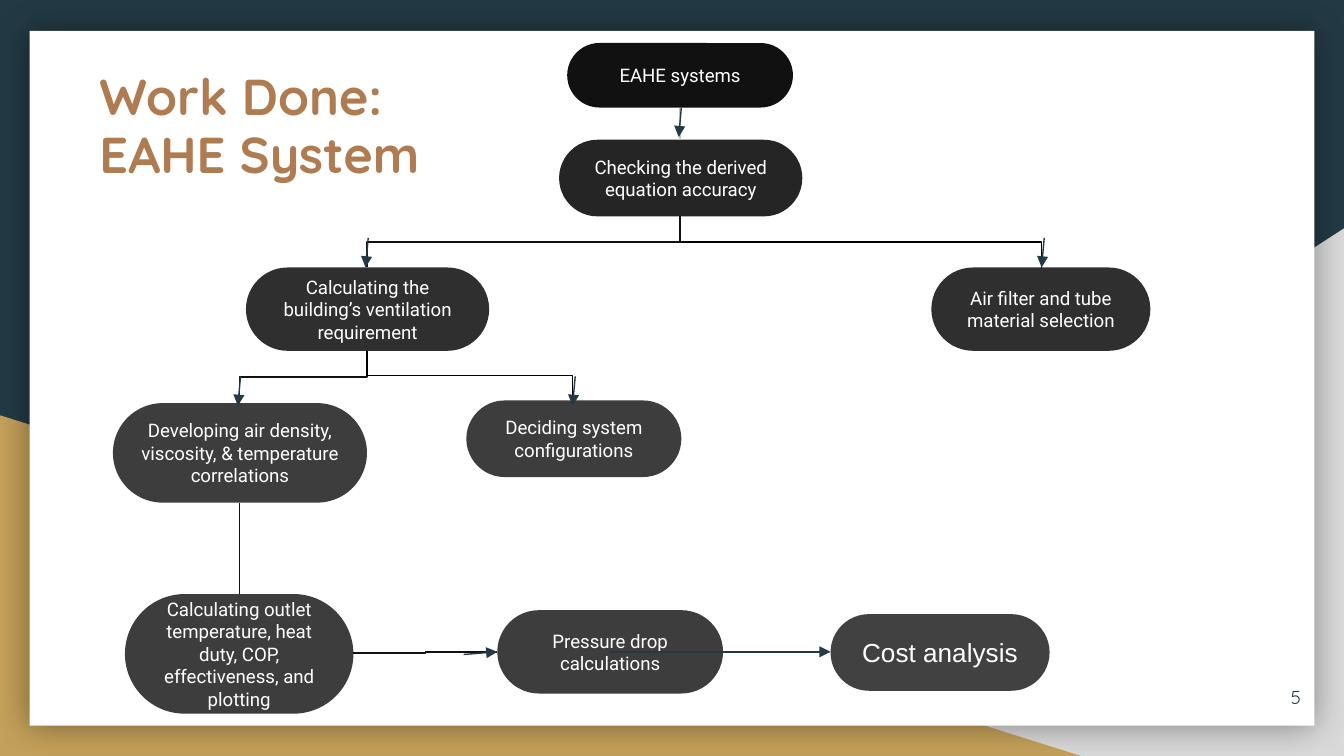
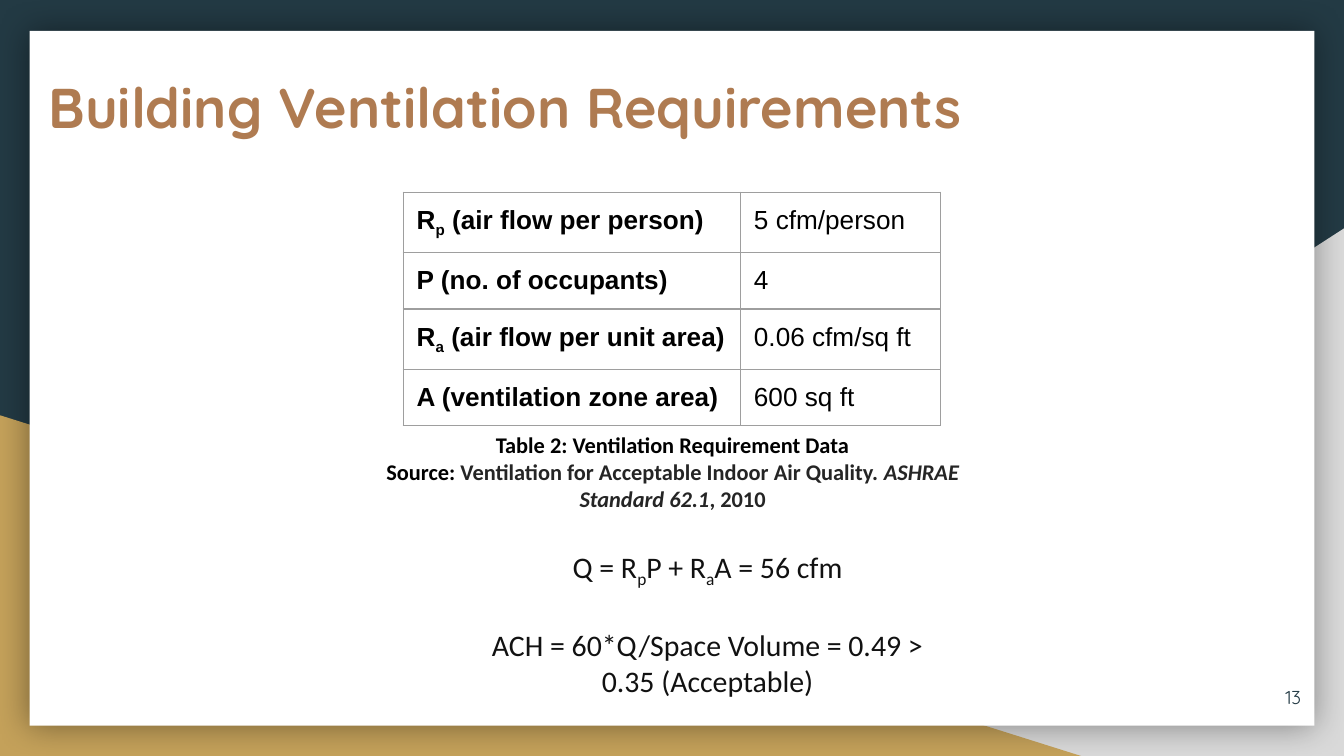
from dataclasses import dataclass

import pptx
import pptx.dml.color
import pptx.enum.shapes
import pptx.enum.text
import pptx.oxml
import pptx.oxml.ns
import pptx.util

SHAPE = pptx.enum.shapes.MSO_SHAPE
CONNECTOR = pptx.enum.shapes.MSO_CONNECTOR
ALIGN = pptx.enum.text.PP_ALIGN
ANCHOR = pptx.enum.text.MSO_ANCHOR
NS = pptx.oxml.ns.nsdecls("a")
PX = 9144  # EMU in one px, 100 px to the inch


@dataclass(frozen=True)
class Theme:
    navy: str = "233A44"
    silver: str = "D9D9D9"
    gold: str = "C4A15A"
    white: str = "FFFFFF"
    copper: str = "AF7B51"
    black: str = "000000"
    ink: str = "111111"
    source: str = "252525"
    pale_line: str = "C2C2C2"
    grid: str = "9E9E9E"
    # Flow chart fills, from the top level down
    levels: tuple = ("111111", "252525", "2F2F2F", "3D3D3D", "414141")
    heading: str = "Quicksand"
    flow: str = "Roboto"
    data: str = "Arial"
    prose: str = "Calibri"
    small: int = 10
    caption: int = 12
    table: int = 14
    formula: int = 16
    title_narrow: int = 27
    title_wide: int = 30
    line: float = 0.75


THEME = Theme()


def px(*lengths):
    return [pptx.util.Emu(round(length * PX)) for length in lengths]


def rgb(value):
    return pptx.dml.color.RGBColor.from_string(value)


# Text
def style(font, size, face, color, bold=False):
    font.size = pptx.util.Pt(size)
    font.name = face
    font.bold = bold
    font.color.rgb = rgb(color)


def write(paragraph, parts, size, face, color, bold=False, align=ALIGN.LEFT):
    """Each part is a string, or a pair of a string and 'sub', 'italic' or a colour."""
    paragraph.alignment = align
    style(paragraph.font, size, face, color, bold)
    for part in [parts] if isinstance(parts, str) else parts:
        words, *marks = (part,) if isinstance(part, str) else part
        run = paragraph.add_run()
        run.text = words
        for mark in marks:
            if mark == "sub":
                run.font._element.set("baseline", "-25000")
            elif mark == "italic":
                run.font.italic = True
            else:
                run.font.color.rgb = rgb(mark)


def set_frame(frame, anchor=ANCHOR.TOP):
    frame.word_wrap = True
    frame.auto_size = pptx.enum.text.MSO_AUTO_SIZE.NONE
    frame.vertical_anchor = anchor
    frame.margin_left, frame.margin_top, frame.margin_right, frame.margin_bottom = px(10, 10, 10, 10)


def add_text(slide, box, anchor=ANCHOR.TOP):
    frame = slide.shapes.add_textbox(*px(*box)).text_frame
    set_frame(frame, anchor)
    return frame


def set_title(slide, box, words, size, spacing=1.0):
    title = slide.shapes.title
    title.left, title.top, title.width, title.height = px(*box)
    set_frame(title.text_frame)
    heading = title.text_frame.paragraphs[0]
    write(heading, words, size, THEME.heading, THEME.copper, bold=True)
    heading.line_spacing = spacing


def add_page_number(slide, number):
    frame = add_text(slide, (918, 497, 60, 43), ANCHOR.MIDDLE)
    write(frame.paragraphs[0], str(number), THEME.small, THEME.heading, THEME.navy, align=ALIGN.RIGHT)


# Shapes and lines
def add_solid(slide, kind, box, fill):
    solid = slide.shapes.add_shape(kind, *px(*box))
    solid.shadow.inherit = False
    solid.fill.solid()
    solid.fill.fore_color.rgb = rgb(fill)
    solid.line.fill.background()
    return solid


def add_step(slide, box, words, level, size=THEME.small, face=THEME.flow):
    step = add_solid(slide, SHAPE.ROUNDED_RECTANGLE, box, THEME.levels[level])
    step.adjustments[0] = 0.5
    set_frame(step.text_frame, ANCHOR.MIDDLE)
    write(step.text_frame.paragraphs[0], words, size, face, THEME.white, align=ALIGN.CENTER)


def add_link(slide, start, end, color, kind=CONNECTOR.STRAIGHT):
    link = slide.shapes.add_connector(kind, *px(*start, *end))
    link.line.color.rgb = rgb(color)
    link.line.width = pptx.util.Pt(THEME.line)
    link.element.spPr.append(pptx.oxml.parse_xml(f"<a:effectLst {NS}/>"))
    return link


def add_branch(slide, parent, child, color):
    """Elbow that leaves the parent downwards: a sideways elbow turned by 90 degrees."""
    mid_x, mid_y = (parent[0] + child[0]) / 2, (parent[1] + child[1]) / 2
    half_drop, half_run = (child[1] - parent[1]) / 2, (parent[0] - child[0]) / 2
    branch = add_link(slide, (mid_x - half_drop, mid_y - half_run),
                      (mid_x + half_drop, mid_y + half_run), color, CONNECTOR.ELBOW)
    branch.element.spPr.xfrm.set("rot", "5400000")


def add_arrow(slide, start, end):
    arrow = add_link(slide, start, end, THEME.navy)
    arrow.line._get_or_add_ln().append(pptx.oxml.parse_xml(f'<a:tailEnd {NS} type="triangle"/>'))


# Shared backdrop, kept on the layout
def build_backdrop(layout, slide):
    layout.background.fill.solid()
    layout.background.fill.fore_color.rgb = rgb(THEME.navy)
    silver_corner = add_solid(slide, SHAPE.RIGHT_TRIANGLE, (392, 170, 608, 393), THEME.silver)
    silver_corner.element.spPr.xfrm.set("flipH", "1")
    gold_corner = add_solid(slide, SHAPE.RIGHT_TRIANGLE, (0, 309, 806, 254), THEME.gold)
    sheet = add_solid(slide, SHAPE.RECTANGLE, (22, 23, 956, 517), THEME.white)
    effects = sheet.element.spPr.find(pptx.oxml.ns.qn("a:effectLst"))
    effects.append(pptx.oxml.parse_xml(
        f'<a:outerShdw {NS} blurRad="{pptx.util.Pt(18)}" dist="0" dir="0" algn="ctr" rotWithShape="0">'
        f'<a:srgbClr val="{THEME.black}"><a:alpha val="40000"/></a:srgbClr></a:outerShdw>'))
    for position, part in enumerate((silver_corner, gold_corner, sheet), start=2):
        layout.shapes.element.insert(position, part.element)


# Table
def add_data_table(slide, corner, widths, row_height, rows):
    size = (sum(widths), row_height * len(rows))
    table = slide.shapes.add_table(len(rows), len(widths), *px(*corner, *size)).table
    table.first_row = table.horz_banding = False
    for column, width in zip(table.columns, widths):
        column.width = px(width)[0]
    for row, entries in zip(table.rows, rows):
        row.height = px(row_height)[0]
        for index, entry in enumerate(entries):
            cell = row.cells[index]
            cell.margin_left, cell.margin_top, cell.margin_right, cell.margin_bottom = px(10, 10, 10, 10)
            write(cell.text_frame.paragraphs[0], entry, THEME.table, THEME.data, THEME.black, bold=index == 0)
            set_borders(cell)
            cell.fill.background()


def set_borders(cell):
    properties = cell._tc.get_or_add_tcPr()
    for side in "LRTB":
        properties.append(pptx.oxml.parse_xml(
            f'<a:ln{side} {NS} w="{pptx.util.Pt(THEME.line)}"><a:solidFill>'
            f'<a:srgbClr val="{THEME.grid}"/></a:solidFill></a:ln{side}>'))


# Slides
def build_work_done(slide):
    for box, words, level in (
        ((422, 32, 168, 48), "EAHE systems", 0),
        ((416, 104, 181, 57), "Checking the derived equation accuracy", 1),
        ((183, 199, 181, 62), "Calculating the building’s ventilation requirement", 2),
        ((693, 199, 163, 62), "Air filter and tube material selection", 2),
        ((84, 300, 189, 74), "Developing air density, viscosity, & temperature correlations", 3),
        ((347, 298, 160, 57), "Deciding system configurations", 3),
        ((93, 442, 170, 89), "Calculating outlet temperature, heat duty, COP, effectiveness, and plotting", 3),
        ((370, 454, 168, 62), "Pressure drop calculations", 3),
    ):
        add_step(slide, box, words, level)
    add_step(slide, (618, 457, 163, 57), "Cost analysis", 4, THEME.table, THEME.data)

    # Tree lines
    accuracy, ventilation = (506, 161), (273, 261)
    add_branch(slide, accuracy, (775, 199), THEME.black)
    add_branch(slide, accuracy, (273, 199), THEME.ink)
    add_branch(slide, ventilation, (178, 300), THEME.ink)
    add_branch(slide, ventilation, (426, 298), THEME.black)
    add_link(slide, (506, 104), (506, 80), THEME.pale_line)
    add_link(slide, (178, 442), (178, 374), THEME.ink)
    add_link(slide, (370, 485), (263, 486), THEME.ink, CONNECTOR.ELBOW)
    add_link(slide, (618, 485), (538, 485), THEME.pale_line)

    # Arrows
    add_arrow(slide, (345, 487), (370, 485))
    add_arrow(slide, (454, 485), (618, 485))
    for x, y in ((177, 302), (426, 302), (775, 199), (272, 199), (505, 102)):
        add_arrow(slide, (x + 2, y - 22), (x, y))

    set_title(slide, (64, 42, 278, 79), "Work Done: EAHE System", THEME.title_narrow, spacing=0.95)
    add_page_number(slide, 5)


def build_ventilation(slide):
    set_title(slide, (26, 44, 946, 104), "Building Ventilation Requirements", THEME.title_wide)
    add_data_table(slide, (300, 143), (251, 149), 42, (
        (("R", ("p", "sub"), " (air flow per person)"), "5 cfm/person"),
        ("P (no. of occupants)", "4"),
        (("R", ("a", "sub"), " (air flow per unit area)"), "0.06 cfm/sq ft"),
        ("A (ventilation zone area)", "600 sq ft"),
    ))

    caption = add_text(slide, (269, 311, 463, 81))
    source = ("Source: ",
              ("Ventilation for Acceptable Indoor Air Quality. ", THEME.source),
              ("ASHRAE Standard 62.1", THEME.source, "italic"),
              (", 2010", THEME.source))
    write(caption.paragraphs[0], "Table 2: Ventilation Requirement Data",
          THEME.caption, THEME.prose, THEME.black, True, ALIGN.CENTER)
    write(caption.add_paragraph(), source, THEME.caption, THEME.prose, THEME.black, True, ALIGN.CENTER)

    formulas = add_text(slide, (336, 398, 381, 128))
    air_flow = ("Q = R", ("p", "sub"), "P + R", ("a", "sub"), "A = 56 cfm")
    write(formulas.paragraphs[0], air_flow, THEME.formula, THEME.prose, THEME.ink, align=ALIGN.CENTER)
    air_changes = formulas.add_paragraph()
    write(air_changes, "ACH = 60*Q/Space Volume = 0.49 > 0.35 (Acceptable)",
          THEME.formula, THEME.prose, THEME.ink, align=ALIGN.CENTER)
    air_changes.space_before = pptx.util.Pt(20)
    add_page_number(slide, 13)


def main():
    deck = pptx.Presentation()
    deck.slide_width = pptx.util.Inches(10)
    deck.slide_height = deck.slide_width * 9 // 16
    layout = deck.slide_layouts.get_by_name("Title Only")
    work_done, ventilation = (deck.slides.add_slide(layout) for _ in range(2))
    build_backdrop(layout, work_done)
    build_work_done(work_done)
    build_ventilation(ventilation)
    deck.save("out.pptx")


if __name__ == "__main__":
    main()
